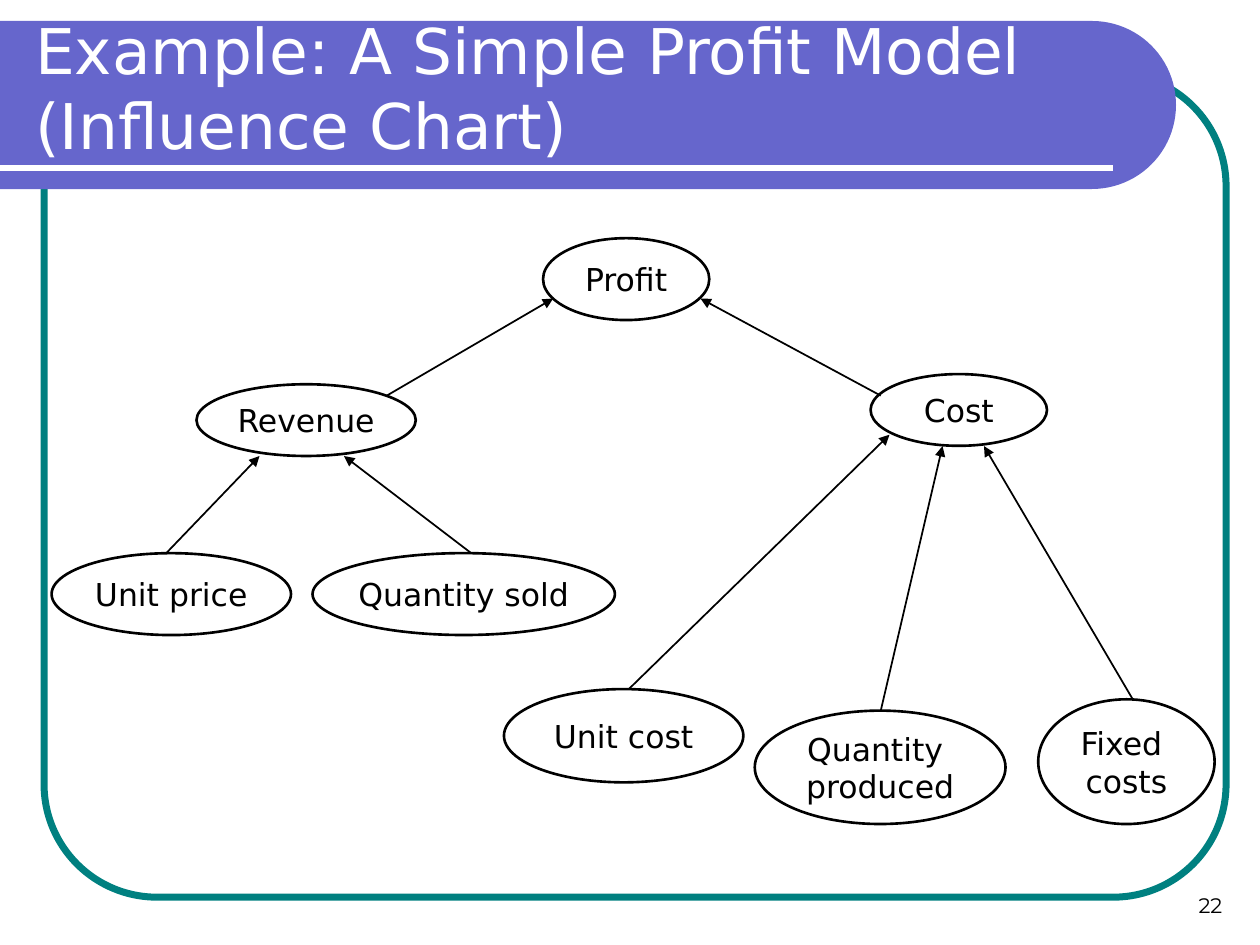
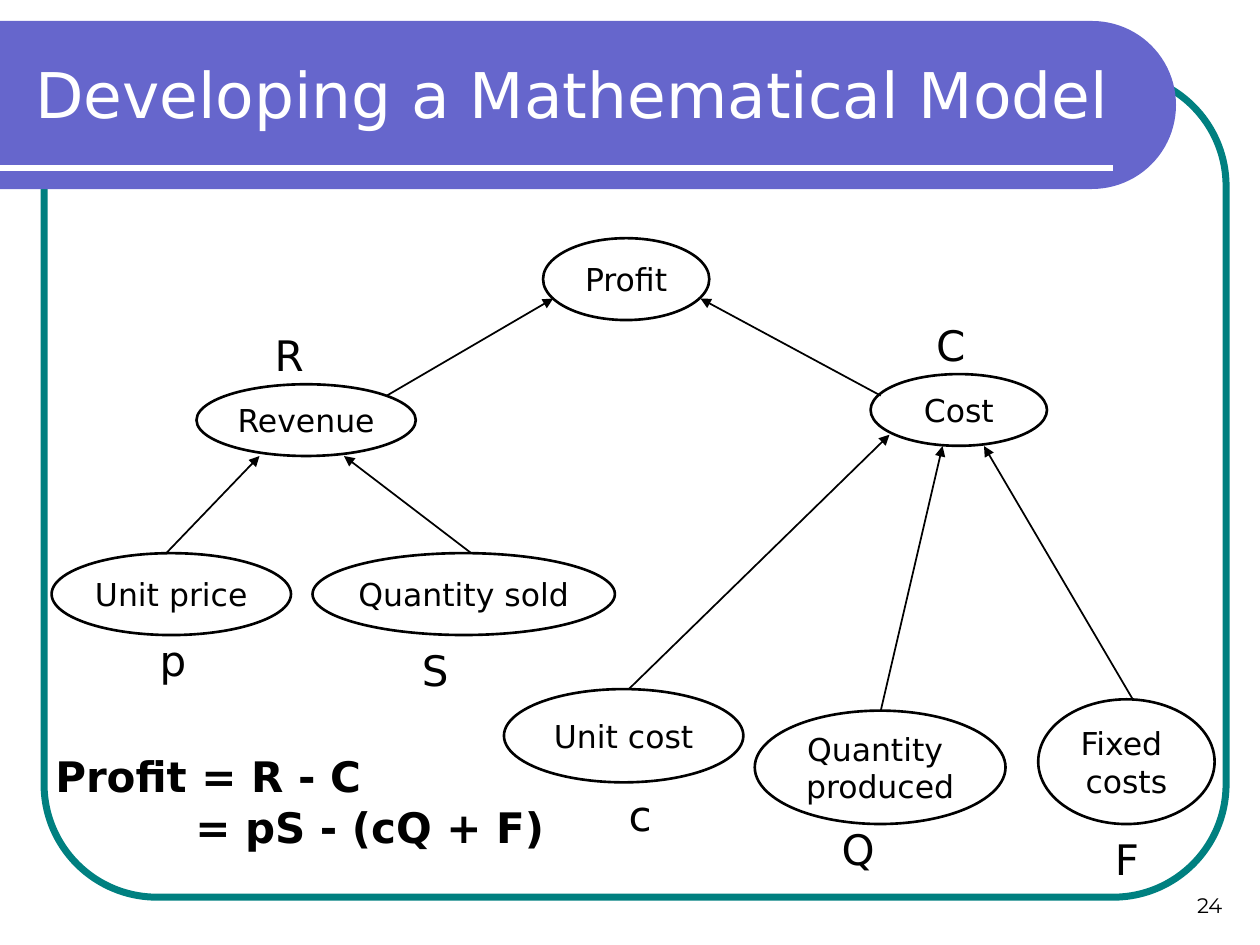
import math

import pptx
import pptx.dml.color
import pptx.enum.shapes
import pptx.enum.text
import pptx.oxml
import pptx.oxml.ns
import pptx.util
from dataclasses import dataclass

Pt = pptx.util.Pt
Align = pptx.enum.text.PP_ALIGN
Anchor = pptx.enum.text.MSO_ANCHOR
Shapes = pptx.enum.shapes.MSO_SHAPE

SLIDES = [
    {
        "title": "Example: A Simple Profit Model\v(Influence Chart)",
        "title_top": 2.9,
        "number": "22",
        "symbols": [],
        "equation": [],
    },
    {
        "title": "Developing a Mathematical Model",
        "title_top": 28.1,
        "number": "24",
        "symbols": [
            ("R", 149.8, 185, 31), ("C", 527.8, 179.3, 31),
            ("p", 84.2, 359.3, 29.5), ("S", 234, 365, 31),
            ("c", 352.1, 447.8, 26.6), ("Q", 473.8, 467.3, 33.1),
            ("F", 630, 473, 28.1),
        ],
        "equation": [("Profit = R - C", 0), ("= pS - (cQ + F)", 80)],
    },
]

FACTORS = [
    (["Profit"], (310.3, 136.1, 95, 46.8)),
    (["Revenue"], (112.3, 219.6, 125.3, 41)),
    (["Cost"], (497.5, 213.8, 100.8, 41)),
    (["Unit price"], (29.5, 316.1, 136.8, 46.8)),
    (["Quantity sold"], (178.6, 316.1, 172.8, 46.8)),
    (["Unit cost"], (288, 393.8, 136.8, 53.3)),
    (["Quantity ", "produced"], (431.3, 406.1, 143.3, 64.8)),
    (["Fixed ", "costs"], (593.3, 399.6, 100.8, 71.3)),
]

INFLUENCES = [
    (221, 226.1, 316.1, 170.6),
    (503.3, 226.1, 400.3, 170.6),
    (95, 316.1, 148.3, 260.6),
    (269.3, 316.1, 196.6, 260.6),
    (359.3, 393.8, 508.3, 248.4),
    (503.3, 406.1, 538.6, 254.9),
    (647.3, 399.6, 562.3, 254.9),
]

FRAME = (25.2, 41.8, 675.4, 470.9)
BAND = {"top": 12, "bottom": 108, "straight": 624, "steps": 48}
RULE = (0, 96, 636, 96)
NUMBER = (537.8, 491.8, 167.8, 36)
EQUATION = (24.5, 425.5, 303.8, 64.8)


@dataclass(frozen=True)
class Theme:
    black: str = "000000"
    white: str = "FFFFFF"
    band: str = "6666CC"
    frame: str = "008080"
    font: str = "DejaVu Sans"
    number_font: str = "Montserrat"
    title_size: int = 36
    symbol_size: int = 24
    factor_size: int = 18
    number_size: int = 12


THEME = Theme()


def color(value):
    return pptx.dml.color.RGBColor.from_string(value)


def assign(target, values):
    for name, value in values.items():
        setattr(target, name, value)


def paint(fill, value):
    if value:
        fill.solid()
        fill.fore_color.rgb = color(value)
    else:
        fill.background()


def outline(line, value, width):
    paint(line.fill, value)
    line.width = Pt(width)


def write(box, lines, size, ink=THEME.black, font=THEME.font, bold=False,
          align=Align.LEFT, anchor=Anchor.TOP, wrap=True):
    frame = box.text_frame
    assign(frame, {"word_wrap": wrap, "vertical_anchor": anchor})
    for index, line in enumerate(lines):
        para = frame.add_paragraph() if index else frame.paragraphs[0]
        para.text = line
        para.alignment = align
        for span in para.runs:
            assign(span.font, {"name": font, "size": Pt(size), "bold": bold})
            span.font.color.rgb = color(ink)


def add_text(page, place, lines, size, **style):
    box = page.shapes.add_textbox(*map(Pt, place))
    write(box, lines, size, **style)
    return box


def add_outlined(page, kind, place, ink, width, fill=None):
    shape = page.shapes.add_shape(kind, *map(Pt, place))
    shape.shadow.inherit = False
    paint(shape.fill, fill)
    outline(shape.line, ink, width)
    return shape


def add_line(page, ends, ink, width, arrow=False):
    straight = pptx.enum.shapes.MSO_CONNECTOR.STRAIGHT
    line = page.shapes.add_connector(straight, *map(Pt, ends))
    outline(line.line, ink, width)
    properties = line._element.spPr
    if arrow:
        head = pptx.oxml.parse_xml(
            f'<a:tailEnd {pptx.oxml.ns.nsdecls("a")} type="triangle"/>')
        line.line._get_or_add_ln().append(head)
    properties.append(pptx.oxml.parse_xml(
        f'<a:effectLst {pptx.oxml.ns.nsdecls("a")}/>'))


def add_band(page):
    radius = (BAND["bottom"] - BAND["top"]) / 2
    middle = BAND["top"] + radius
    angles = [math.pi * (step / BAND["steps"] - 0.5)
              for step in range(BAND["steps"] + 1)]
    points = [(BAND["straight"] + radius * math.cos(angle),
               middle + radius * math.sin(angle)) for angle in angles]
    points.append((0, BAND["bottom"]))
    builder = page.shapes.build_freeform(Pt(0), Pt(BAND["top"]))
    builder.add_line_segments([(Pt(x), Pt(y)) for x, y in points])
    band = builder.convert_to_shape()
    band.shadow.inherit = False
    paint(band.fill, THEME.band)
    band.line.fill.background()


def add_base(page, content):
    frame = add_outlined(page, Shapes.ROUNDED_RECTANGLE, FRAME, THEME.frame, 4)
    frame.adjustments[0] = 0.137
    add_band(page)
    add_line(page, RULE, THEME.white, 3)
    add_text(page, NUMBER, [content["number"]], THEME.number_size,
             font=THEME.number_font, align=Align.RIGHT, anchor=Anchor.BOTTOM)
    add_text(page, (13, content["title_top"], 631.4, 72), [content["title"]],
             THEME.title_size, ink=THEME.white)


def add_influence_chart(page):
    for lines, place in FACTORS:
        oval = add_outlined(page, Shapes.OVAL, place, THEME.black, 1.5, THEME.white)
        write(oval, lines, THEME.factor_size, align=Align.CENTER,
              anchor=Anchor.MIDDLE, wrap=False)
    for ends in INFLUENCES:
        add_line(page, ends, THEME.black, 1, arrow=True)


def add_equation(page, equation):
    box = add_text(page, EQUATION, [line for line, _ in equation],
                   THEME.symbol_size, bold=True)
    for para, (_, indent) in zip(box.text_frame.paragraphs, equation):
        para._p.get_or_add_pPr().set("marL", str(Pt(indent)))


def main():
    deck = pptx.Presentation()
    assign(deck, {"slide_width": Pt(720), "slide_height": Pt(540)})
    for content in SLIDES:
        page = deck.slides.add_slide(deck.slide_layouts[6])
        add_base(page, content)
        add_influence_chart(page)
        for symbol, left, top, width in content["symbols"]:
            add_text(page, (left, top, width, 36), [symbol],
                     THEME.symbol_size, wrap=False)
        if content["equation"]:
            add_equation(page, content["equation"])
    deck.save("out.pptx")


if __name__ == "__main__":
    main()
